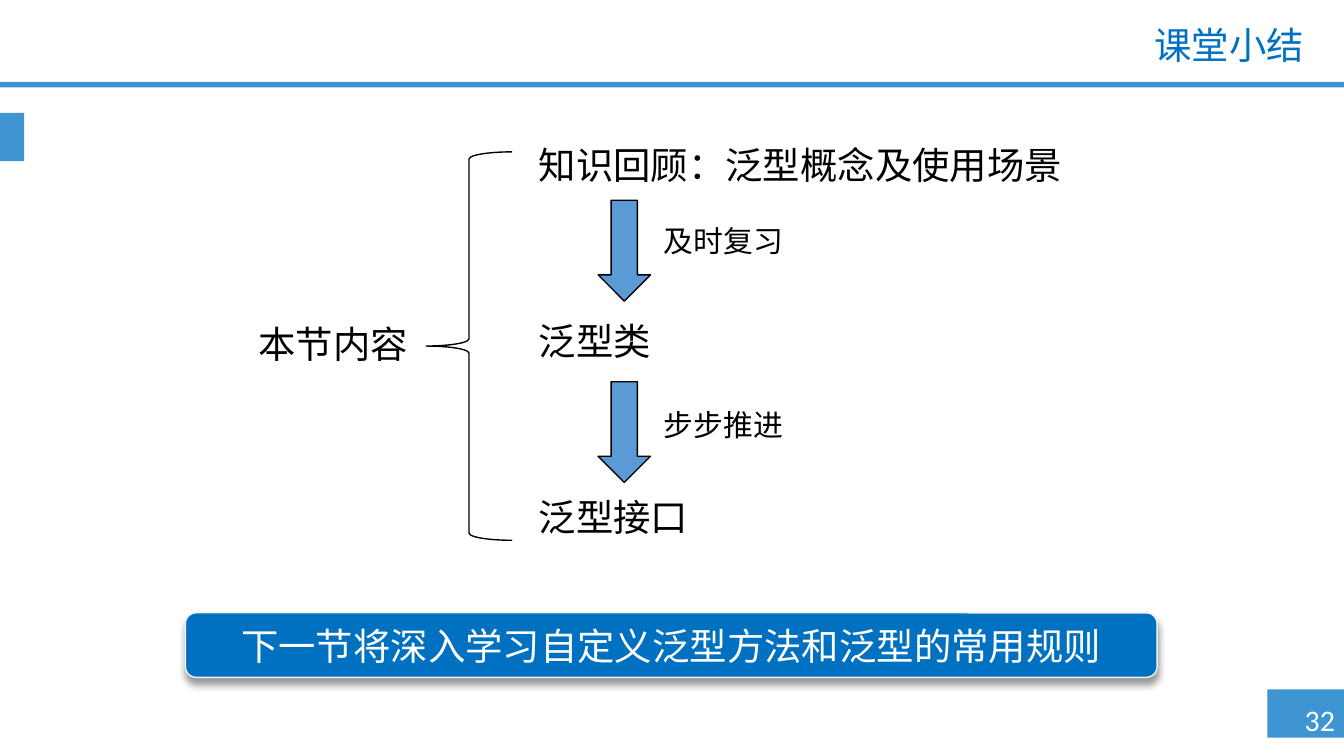
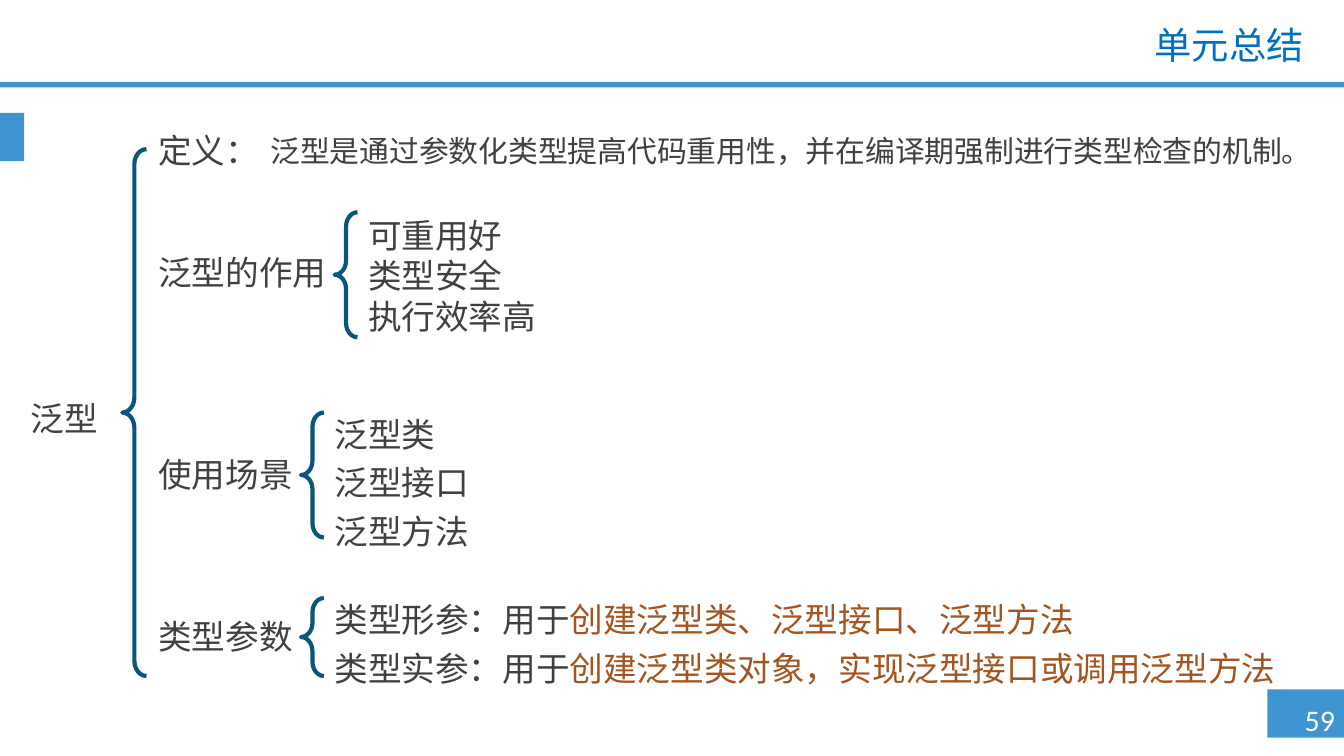
from dataclasses import dataclass
from typing import Any, Optional

from lxml import etree
from pptx import Presentation
from pptx.dml.color import RGBColor
from pptx.enum.shapes import MSO_SHAPE
from pptx.enum.text import MSO_ANCHOR, PP_ALIGN
from pptx.oxml.ns import qn
from pptx.util import Emu, Pt

PX = 4572  # 200 px to the inch
RECT, ROUNDED = MSO_SHAPE.RECTANGLE, MSO_SHAPE.ROUNDED_RECTANGLE
BRACE, DOWN_ARROW = MSO_SHAPE.LEFT_BRACE, MSO_SHAPE.DOWN_ARROW
LEFT, CENTER, RIGHT = PP_ALIGN.LEFT, PP_ALIGN.CENTER, PP_ALIGN.RIGHT
TOP, MIDDLE = MSO_ANCHOR.TOP, MSO_ANCHOR.MIDDLE


@dataclass(frozen=True)
class Theme:
    body_font: str = "Arial"
    title_font: str = "Calibri"
    band: str = "3F95D2"
    title: str = "0070C0"
    arrow: str = "5B9BD5"
    brace: str = "08577A"
    black: str = "000000"
    gray: str = "404040"
    accent: str = "A3541F"
    white: str = "FFFFFF"
    outline: str = "F2F2F2"
    large: int = 20
    medium: int = 18
    small: int = 16
    thin: float = 0.75
    thick: float = 2.25
    line_pitch: float = 21.7  # one single-spaced line of medium text, in points


THEME = Theme()


@dataclass(frozen=True)
class Area:
    left: int
    top: int
    width: int
    height: int

    def emu(self) -> list[Emu]:
        return [Emu(v * PX) for v in (self.left, self.top, self.width, self.height)]


@dataclass(frozen=True)
class Style:
    size: int = THEME.large
    color: str = THEME.black
    font: str = THEME.body_font
    align: Any = LEFT
    anchor: Any = TOP
    spacing: float = 1.0


@dataclass(frozen=True)
class Span:
    text: str
    color: Optional[str] = None


@dataclass(frozen=True)
class Line:
    spans: tuple[Span, ...]
    lines_before: int = 0


@dataclass(frozen=True)
class Figure:
    kind: Any
    area: Area
    fill: Optional[str] = None
    line: Optional[str] = None
    weight: float = THEME.thin
    adjust: Optional[float] = None


def plain(*texts: str) -> list[Line]:
    return [Line((Span(text),)) for text in texts]


def set_all(target: Any, values: dict[str, Any]) -> None:
    for name, value in values.items():
        setattr(target, name, value)


def write(shape: Any, lines: list[Line], style: Style) -> None:
    frame = shape.text_frame
    set_all(frame, {"word_wrap": True, "vertical_anchor": style.anchor})
    for index, line in enumerate(lines):
        para = frame.add_paragraph() if index else frame.paragraphs[0]
        set_all(para, {
            "alignment": style.align,
            "line_spacing": style.spacing,
            "space_before": Pt(line.lines_before * THEME.line_pitch),
        })
        for span in line.spans:
            run = para.add_run()
            run.text = span.text
            set_all(run.font, {"name": style.font, "size": Pt(style.size)})
            run.font.color.rgb = RGBColor.from_string(span.color or style.color)


def add_text(page: Any, area: Area, lines: list[Line], style: Style) -> None:
    write(page.shapes.add_textbox(*area.emu()), lines, style)


def add_figure(page: Any, figure: Figure) -> Any:
    shape = page.shapes.add_shape(figure.kind, *figure.area.emu())
    shape.shadow.inherit = False
    if figure.adjust is not None:
        shape.adjustments[0] = figure.adjust
    if figure.fill:
        shape.fill.solid()
        shape.fill.fore_color.rgb = RGBColor.from_string(figure.fill)
    else:
        shape.fill.background()
    if figure.line:
        shape.line.color.rgb = RGBColor.from_string(figure.line)
        shape.line.width = Pt(figure.weight)
    else:
        shape.line.fill.background()
    return shape


def add_drop_shadow(shape: Any, blur: float, distance: float, opacity: int) -> None:
    effects = shape.element.spPr.find(qn("a:effectLst"))
    shadow = etree.SubElement(effects, qn("a:outerShdw"), {
        "blurRad": str(Pt(blur)), "dist": str(Pt(distance)),
        "dir": "5400000", "algn": "t", "rotWithShape": "0",
    })
    color = etree.SubElement(shadow, qn("a:srgbClr"), val=THEME.black)
    etree.SubElement(color, qn("a:alpha"), val=str(opacity * 1000))


def add_page(deck: Any, title: str, number: int) -> Any:
    page = deck.slides.add_slide(deck.slide_layouts[6])
    # Bands: page number corner, rule under the title, left tab
    for area in (Area(1886, 1026, 114, 72), Area(0, 122, 2000, 8), Area(0, 168, 36, 72)):
        add_figure(page, Figure(RECT, area, fill=THEME.band))
    add_text(page, Area(1912, 1034, 104, 74), plain(str(number)),
             Style(THEME.small, THEME.white, THEME.title_font, CENTER))
    add_text(page, Area(480, 31, 1480, 80), plain(title),
             Style(THEME.large, THEME.title, THEME.title_font, RIGHT, MIDDLE, 0.9))
    return page


def build_lesson_summary(deck: Any) -> None:
    page = add_page(deck, "课堂小结", 32)
    # Section brace and its label
    add_figure(page, Figure(BRACE, Area(634, 226, 128, 578), line=THEME.black))
    add_text(page, Area(260, 468, 472, 88), plain("本节内容"), Style(align=CENTER))
    # Topics at equal steps
    for index, topic in enumerate(("知识回顾：泛型概念及使用场景", "泛型类", "泛型接口")):
        add_text(page, Area(782, 202 + 262 * index, 926, 88), plain(topic), Style())
    # Arrows between topics
    for index, label in enumerate(("及时复习", "步步推进")):
        add_figure(page, Figure(DOWN_ARROW, Area(890, 298 + 270 * index, 78, 150),
                                THEME.arrow, THEME.black))
        add_text(page, Area(968, 322 + 274 * index, 698, 74), plain(label),
                 Style(THEME.small))
    # Next lesson banner
    banner = add_figure(page, Figure(ROUNDED, Area(276, 912, 1446, 96),
                                     THEME.title, THEME.outline, adjust=0.167))
    add_drop_shadow(banner, blur=4, distance=3, opacity=40)
    write(banner, plain("下一节将深入学习自定义泛型方法和泛型的常用规则"),
          Style(color=THEME.white, align=CENTER, anchor=MIDDLE))


def build_unit_summary(deck: Any) -> None:
    page = add_page(deck, "单元总结", 59)
    single = Style(THEME.medium, THEME.gray)
    spaced = Style(THEME.medium, THEME.gray, spacing=1.2)
    # Root and main branches
    add_text(page, Area(6, 582, 180, 80), plain("泛型"),
             Style(THEME.medium, THEME.gray, align=CENTER))
    branches = (("定义：", 0), ("泛型的作用", 2), ("使用场景", 4), ("类型参数", 3))
    # Skipped lines become space above each branch
    add_text(page, Area(216, 184, 460, 808),
             [Line((Span(name),), skipped) for name, skipped in branches], single)
    # Braces
    for area in (Area(182, 222, 36, 784), Area(498, 316, 34, 186),
                 Area(448, 614, 34, 186), Area(448, 890, 34, 116)):
        add_figure(page, Figure(BRACE, area, line=THEME.brace,
                                weight=THEME.thick, adjust=0.62))
    # Branch details
    add_text(page, Area(370, 188, 1572, 74),
             plain("泛型是通过参数化类型提高代码重用性，并在编译期强制进行类型检查的机制。"),
             Style(THEME.small, THEME.gray, align=CENTER))
    add_text(page, Area(528, 310, 318, 202),
             plain("可重用好", "类型安全", "执行效率高"), single)
    add_text(page, Area(478, 594, 382, 232),
             plain("泛型类", "泛型接口", "泛型方法"), spaced)
    parameters = (("类型形参：用于", "创建泛型类、泛型接口、泛型方法"),
                  ("类型实参：用于", "创建泛型类对象，实现泛型接口或调用泛型方法"))
    add_text(page, Area(478, 870, 1464, 166),
             [Line((Span(lead), Span(use, THEME.accent))) for lead, use in parameters],
             spaced)


def main() -> None:
    deck = Presentation()
    set_all(deck, {"slide_width": Emu(2000 * PX), "slide_height": Emu(1125 * PX)})
    build_lesson_summary(deck)
    build_unit_summary(deck)
    deck.save("out.pptx")


if __name__ == "__main__":
    main()
